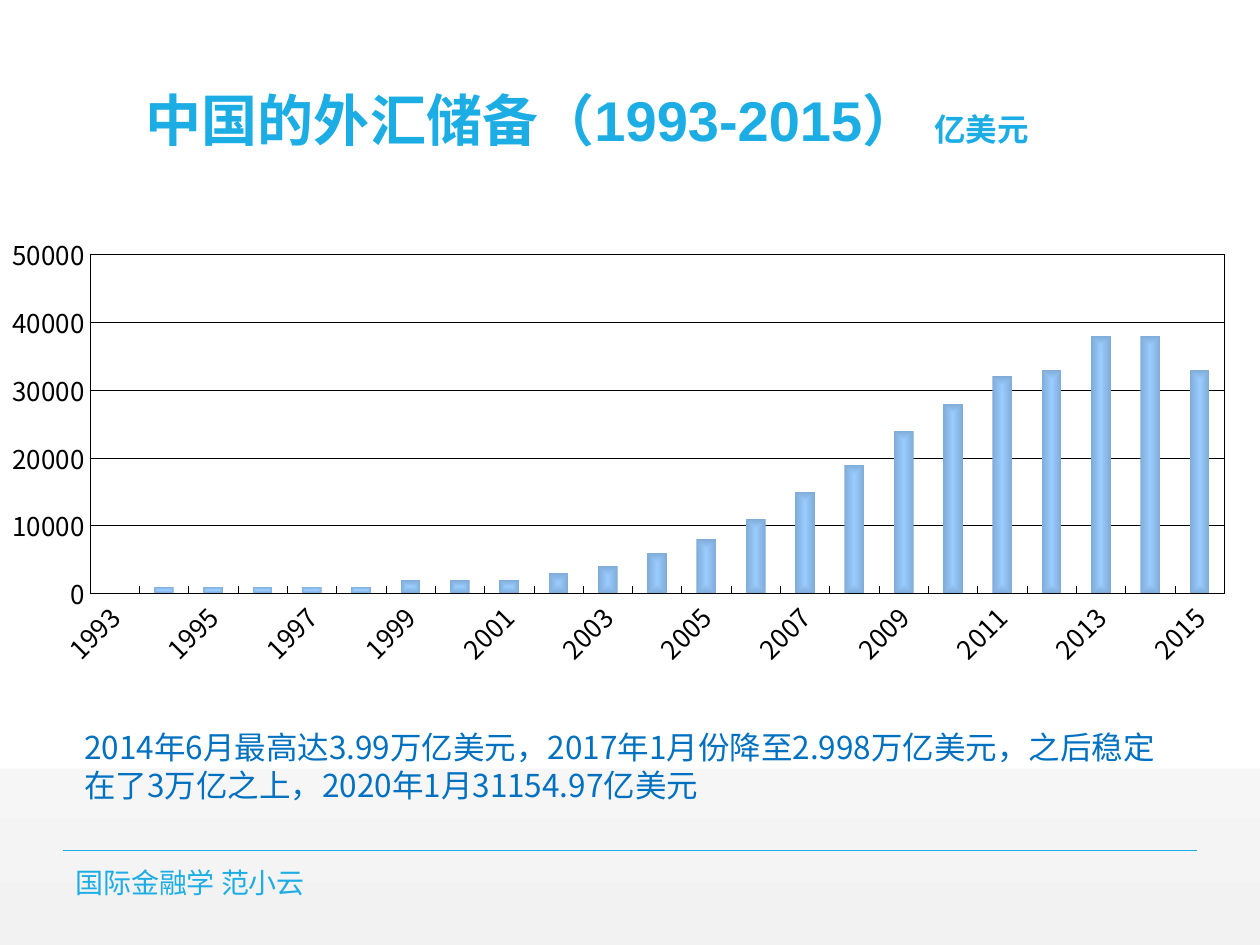
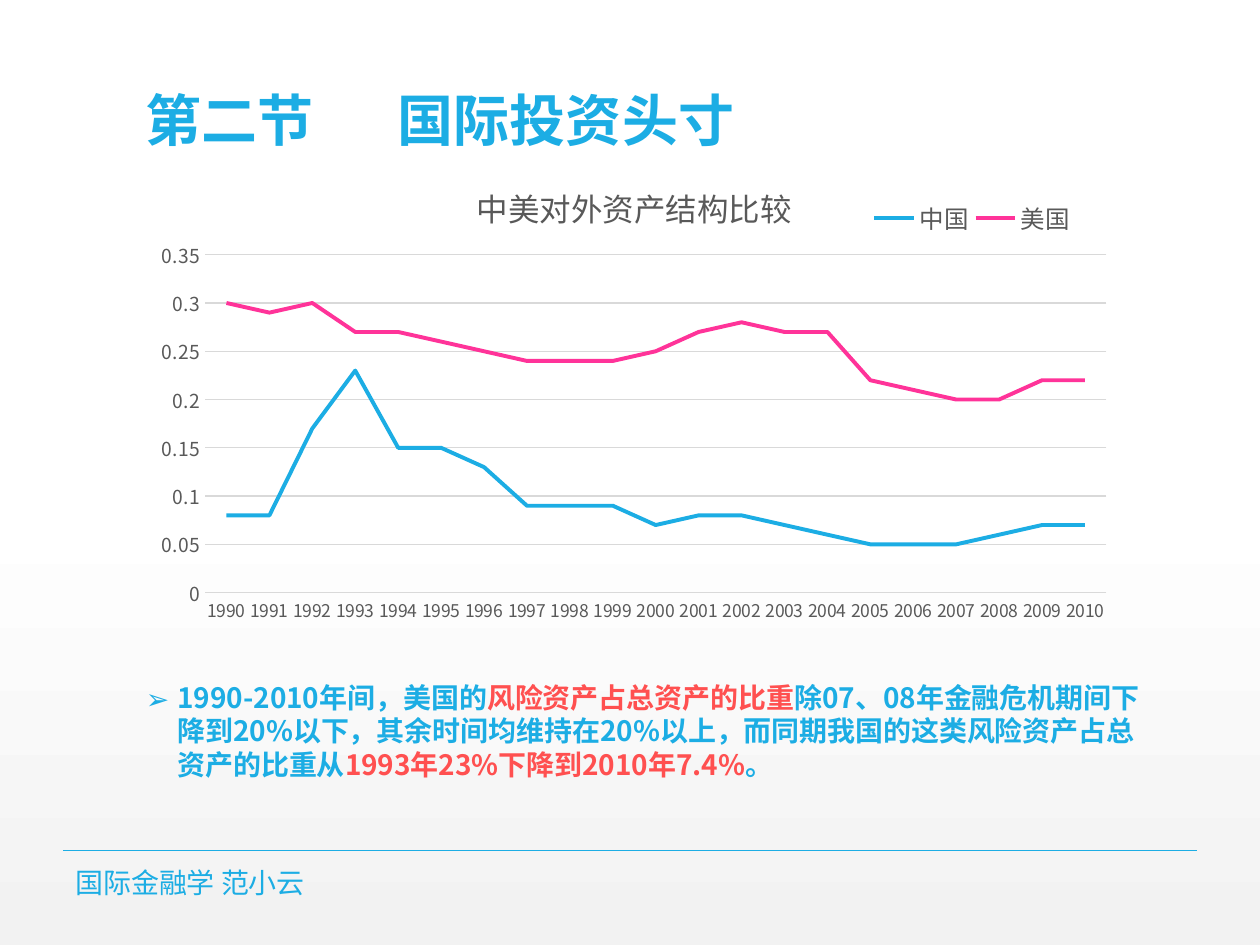
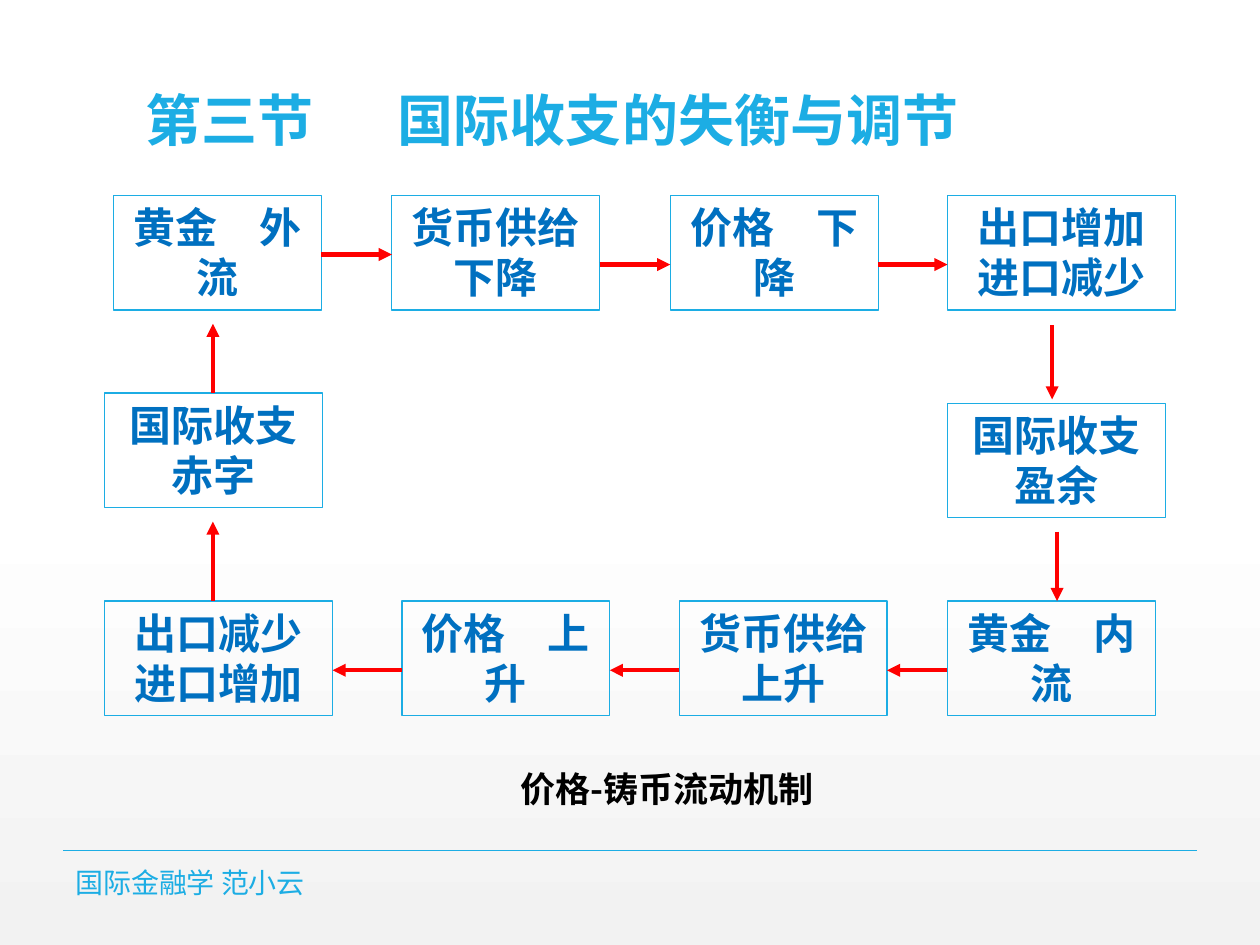
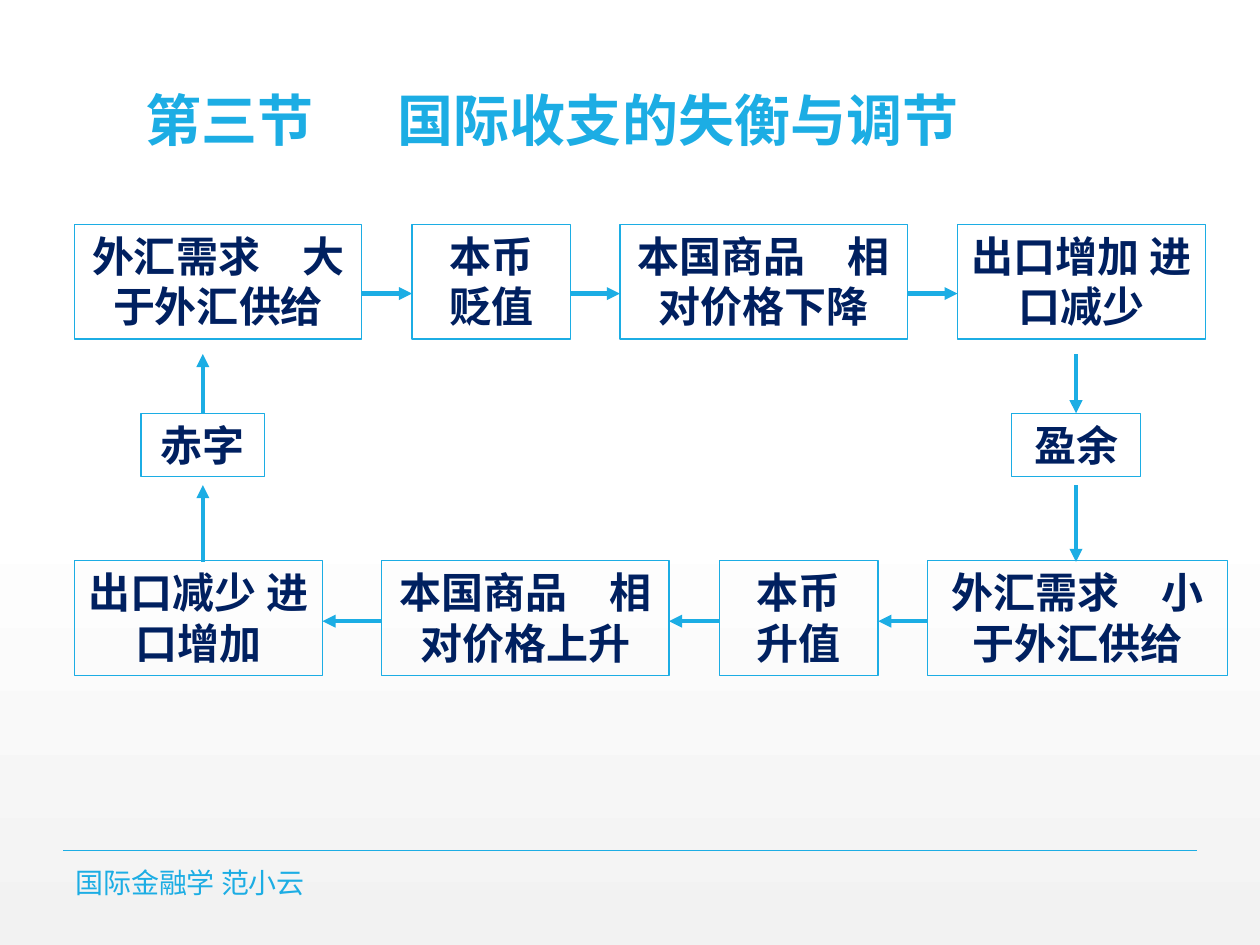
from dataclasses import dataclass

from pptx import Presentation
from pptx.chart.data import CategoryChartData
from pptx.dml.color import RGBColor
from pptx.enum.chart import XL_CHART_TYPE, XL_LEGEND_POSITION, XL_TICK_MARK
from pptx.enum.shapes import MSO_CONNECTOR, MSO_SHAPE
from pptx.enum.text import MSO_ANCHOR, PP_ALIGN
from pptx.oxml import parse_xml
from pptx.oxml.ns import nsdecls, qn
from pptx.util import Inches, Pt

COLUMN_CHART, LINE_CHART = XL_CHART_TYPE.COLUMN_CLUSTERED, XL_CHART_TYPE.LINE
LEGEND_BOTTOM = XL_LEGEND_POSITION.BOTTOM
TICK_INSIDE, TICK_NONE = XL_TICK_MARK.INSIDE, XL_TICK_MARK.NONE
STRAIGHT, RECTANGLE = MSO_CONNECTOR.STRAIGHT, MSO_SHAPE.RECTANGLE
TOP, MIDDLE, BOTTOM = MSO_ANCHOR.TOP, MSO_ANCHOR.MIDDLE, MSO_ANCHOR.BOTTOM
LEFT, CENTER = PP_ALIGN.LEFT, PP_ALIGN.CENTER

# Grid: 100 columns by 75 rows
SLIDE_WIDTH, SLIDE_HEIGHT = Inches(10), Inches(7.5)
COLUMN, ROW = SLIDE_WIDTH / 100, SLIDE_HEIGHT / 75


@dataclass(frozen=True)
class Theme:
    accent: str = "1CADE4"
    blue: str = "0070C0"
    navy: str = "002060"
    red: str = "FF0000"
    highlight: str = "FF5050"
    pink: str = "FF3399"
    black: str = "000000"
    white: str = "FFFFFF"
    backdrop: str = "F2F2F2"
    chart_text: str = "595959"
    chart_grid: str = "D9D9D9"
    bar_center: str = "99CCFF"
    bar_edge: str = "80ABD6"
    heading_font: str = "Arial"
    body_font: str = "Noto Sans CJK SC"
    title_size: float = 32
    box_size: float = 24
    caption_size: float = 20
    note_size: float = 18
    body_size: float = 16
    line_pitch: float = 1.2


THEME = Theme()


def color(value):
    return RGBColor.from_string(value)


def place(left, top, width, height):
    """Turn columns and rows into slide lengths."""
    return (round(left * COLUMN), round(top * ROW),
            round(width * COLUMN), round(height * ROW))


def gradient(stops, direction):
    items = "".join(f'<a:gs pos="{position * 1000}"><a:srgbClr val="{value}"/></a:gs>'
                    for position, value in stops)
    return parse_xml(f'<a:gradFill {nsdecls("a")} rotWithShape="1">'
                     f'<a:gsLst>{items}</a:gsLst>{direction}</a:gradFill>')


def set_line(line, value, width):
    line.color.rgb = color(value)
    line.width = Pt(width)


def set_font(font, size, value, name=THEME.body_font, bold=False):
    font.size, font.name, font.bold = Pt(size), name, bold
    font.color.rgb = color(value)


def add_east_asian_fonts(element):
    """Use each Latin typeface for Chinese text too."""
    for latin in list(element.iter(qn("a:latin"))):
        latin.addnext(parse_xml(f'<a:ea {nsdecls("a")} typeface="{latin.get("typeface")}"/>'))


# Text
def write(shape, runs, align=LEFT, anchor=TOP, pitch=None):
    """Fill a shape with one paragraph of (text, size, colour, font, bold) runs."""
    frame = shape.text_frame
    frame.word_wrap = True
    frame.vertical_anchor = anchor
    paragraph = frame.paragraphs[0]
    paragraph.alignment = align
    paragraph.line_spacing = pitch or Pt(THEME.line_pitch * runs[0][1])
    for text, size, value, name, bold in runs:
        run = paragraph.add_run()
        run.text = text
        set_font(run.font, size, value, name, bold)
    add_east_asian_fonts(shape._element)
    return paragraph


def body_run(text, size, value, bold=False):
    return text, size, value, THEME.body_font, bold


def add_text(slide, area, runs, **options):
    return write(slide.shapes.add_textbox(*place(*area)), runs, **options)


def add_tab_stop(paragraph, position):
    paragraph._p.get_or_add_pPr().append(parse_xml(
        f'<a:tabLst {nsdecls("a")}><a:tab pos="{position}" algn="l"/></a:tabLst>'))


def add_bullet(paragraph):
    paragraph.space_before = Pt(18)
    properties = paragraph._p.get_or_add_pPr()
    properties.set("marL", str(Inches(0.25)))
    properties.set("indent", str(-Inches(0.25)))
    for item in (f'<a:buClr {nsdecls("a")}><a:srgbClr val="{THEME.accent}"/></a:buClr>',
                 f'<a:buFont {nsdecls("a")} typeface="{THEME.body_font}"/>',
                 f'<a:buChar {nsdecls("a")} char="➢"/>'):
        properties.append(parse_xml(item))


# Lines and boxes
def add_line(slide, start, end, value, width, arrow=False):
    begin_x, begin_y, end_x, end_y = place(*start, *end)
    connector = slide.shapes.add_connector(STRAIGHT, begin_x, begin_y, end_x, end_y)
    set_line(connector.line, value, width)
    properties = connector._element.spPr
    if arrow:
        properties.find(qn("a:ln")).append(parse_xml(f'<a:tailEnd {nsdecls("a")} type="triangle"/>'))
    properties.append(parse_xml(f'<a:effectLst {nsdecls("a")}/>'))


def add_box(slide, text, area, text_color):
    box = slide.shapes.add_shape(RECTANGLE, *place(*area))
    box.shadow.inherit = False
    box.fill.background()
    set_line(box.line, THEME.accent, 0.75)
    write(box, [body_run(text, THEME.box_size, text_color, True)], align=CENTER)


def add_flow_row(slide, top, boxes, arrow_tops, text_color, arrow_color, leftward=False):
    """Draw (text, left, width) boxes and the arrows in the gaps between them."""
    for text, left, width in boxes:
        add_box(slide, text, (left, top, width, 9.1), text_color)
    for (_, left, width), (_, next_left, _), arrow_top in zip(boxes, boxes[1:], arrow_tops):
        ends = [(left + width, arrow_top), (next_left, arrow_top)]
        if leftward:
            ends.reverse()
        add_line(slide, *ends, arrow_color, 2.5, arrow=True)


def add_vertical_arrows(slide, arrows, value):
    for column, start, end in arrows:
        add_line(slide, (column, start), (column, end), value, 2.5, arrow=True)


# Charts
def set_layout(parent, index, x, y, width=None, height=None, inner=False):
    old = parent.find(qn("c:layout"))
    if old is not None:
        parent.remove(old)
    target = '<c:layoutTarget val="inner"/>' if inner else ""
    modes = '<c:xMode val="edge"/><c:yMode val="edge"/>'
    sizes = zip("xywh", (x, y, width, height))
    values = "".join(f'<c:{key} val="{size}"/>' for key, size in sizes if size is not None)
    parent.insert(index, parse_xml(
        f'<c:layout {nsdecls("c")}><c:manualLayout>{target}{modes}{values}'
        '</c:manualLayout></c:layout>'))


def chart_area_format(line_xml):
    return parse_xml(f'<c:spPr {nsdecls("c", "a")}><a:solidFill><a:srgbClr val="{THEME.white}"/>'
                     f'</a:solidFill>{line_xml}</c:spPr>')


def add_chart(slide, kind, area, categories, series, plot_layout):
    data = CategoryChartData()
    data.categories = categories
    for name, values in series:
        data.add_series(name, values)
    chart = slide.shapes.add_chart(kind, *place(*area), data).chart
    chart.has_title = chart.has_legend = False
    chart.plots[0].vary_by_categories = False
    set_layout(chart.element.chart.plotArea, 0, *plot_layout, inner=True)
    return chart


def style_axis(axis, size, value, tick, line=None):
    set_font(axis.tick_labels.font, size, value)
    axis.major_tick_mark, axis.minor_tick_mark = tick, TICK_NONE
    if line:
        set_line(axis.format.line, *line)
    else:
        axis.format.line.fill.background()


def scale_axis(axis, maximum, step, grid):
    axis.minimum_scale, axis.maximum_scale, axis.major_unit = 0, maximum, step
    axis.has_major_gridlines = True
    set_line(axis.major_gridlines.format.line, *grid)


def add_reserves_chart(slide):
    reserves = [n * 1000 for n in (0, 1, 1, 1, 1, 1, 2, 2, 2, 3, 4, 6, 8, 11, 15, 19,
                                   24, 28, 32, 33, 38, 38, 33)]
    chart = add_chart(slide, COLUMN_CHART, (-4.7, 14.1, 104.7, 46.9),
                      [str(year) for year in range(1993, 2016)],
                      [("Series 1", reserves)], (0.113, 0.13, 0.86, 0.574))
    thin = (THEME.black, 0.25)
    set_font(chart.font, 14.8, THEME.black)
    for axis in (chart.category_axis, chart.value_axis):
        style_axis(axis, 14.8, THEME.black, TICK_INSIDE, thin)
    scale_axis(chart.value_axis, 50000, 10000, thin)

    # Slanted labels for every second year
    years = chart.category_axis._element
    years.find(qn("c:txPr")).find(qn("a:bodyPr")).set("rot", "-2700000")
    years.find(qn("c:noMultiLvlLbl")).addprevious(
        parse_xml(f'<c:tickLblSkip {nsdecls("c")} val="2"/>'))

    # Bars, plot frame and chart background
    plot = chart.plots[0]
    plot.gap_width = 150
    plot.series[0].invert_if_negative = False
    plot.series[0]._element.get_or_add_spPr().append(gradient(
        [(0, THEME.bar_center), (100, THEME.bar_edge)],
        '<a:path path="rect"><a:fillToRect l="50000" t="50000" r="50000" b="50000"/></a:path>'))
    chart.element.chart.plotArea.append(chart_area_format(
        f'<a:ln w="{Pt(0.25)}"><a:solidFill><a:srgbClr val="{THEME.black}"/></a:solidFill></a:ln>'))
    chart.element.chart.addnext(chart_area_format("<a:ln><a:noFill/></a:ln>"))
    add_east_asian_fonts(chart.element)


def add_assets_chart(slide):
    china = (0.08, 0.08, 0.17, 0.23, 0.15, 0.15, 0.13, 0.09, 0.09, 0.09, 0.07,
             0.08, 0.08, 0.07, 0.06, 0.05, 0.05, 0.05, 0.06, 0.07, 0.07)
    america = (0.3, 0.29, 0.3, 0.27, 0.27, 0.26, 0.25, 0.24, 0.24, 0.24, 0.25,
               0.27, 0.28, 0.27, 0.27, 0.22, 0.21, 0.2, 0.2, 0.22, 0.22)
    chart = add_chart(slide, LINE_CHART, (10.6, 12.7, 78.8, 39.8),
                      [str(year) for year in range(1990, 2011)],
                      [("中国", china), ("美国", america)], (0.072, 0.189, 0.908, 0.674))
    grid = (THEME.chart_grid, 0.75)
    set_font(chart.font, 10, THEME.black, THEME.heading_font)
    style_axis(chart.category_axis, 10, THEME.chart_text, TICK_NONE, grid)
    style_axis(chart.value_axis, 11, THEME.chart_text, TICK_NONE)
    scale_axis(chart.value_axis, 0.35, 0.05, grid)
    for series, value in zip(chart.plots[0].series, (THEME.accent, THEME.pink)):
        series.smooth = False
        set_line(series.format.line, value, 2.25)

    # Title and legend
    chart.has_title = chart.has_legend = True
    run = chart.chart_title.text_frame.paragraphs[0].add_run()
    run.text = "中美对外资产结构比较"
    set_font(run.font, THEME.note_size, THEME.chart_text)
    set_layout(chart.chart_title._element, 1, 0.34, 0.03)
    legend = chart.legend
    legend.position, legend.include_in_layout = LEGEND_BOTTOM, False
    set_font(legend.font, 14, THEME.chart_text)
    set_layout(legend._element, 1, 0.74, 0.08, 0.21, 0.07)
    add_east_asian_fonts(chart.element)


# Shared slide frame
def add_slide(presentation, title, unit=None):
    slide = presentation.slides.add_slide(presentation.slide_layouts[6])
    slide.background.fill.gradient()
    default = next(slide._element.iter(qn("a:gradFill")))
    default.getparent().replace(default, gradient(
        [(0, THEME.white), (53, THEME.white), (100, THEME.backdrop)],
        '<a:lin ang="5400000" scaled="0"/>'))
    add_line(slide, (5, 67.5), (95, 67.5), THEME.accent, 1)
    runs = [(title, THEME.title_size, THEME.accent, THEME.heading_font, True)]
    if unit:
        runs.append((unit, THEME.note_size, THEME.accent, THEME.heading_font, True))
    heading = add_text(slide, (10.6, 0.2, 78.8, 12.5), runs, anchor=BOTTOM, pitch=0.9)
    add_tab_stop(heading, Inches(2))
    add_text(slide, (5, 68.8, 50.3, 2.4),
             [body_run("国际金融学 范小云", THEME.body_size, THEME.accent)], anchor=MIDDLE)
    return slide


# Slides
def build_reserves(presentation):
    slide = add_slide(presentation, "中国的外汇储备（1993-2015） ", "亿美元")
    add_reserves_chart(slide)
    note = ("2014年6月最高达3.99万亿美元，2017年1月份降至2.998万亿美元，"
            "之后稳定在了3万亿之上，2020年1月31154.97亿美元")
    add_text(slide, (5.7, 57.3, 89.4, 7.1), [body_run(note, THEME.note_size, THEME.blue)])


def build_investment_position(presentation):
    slide = add_slide(presentation, "第二节\t国际投资头寸")
    parts = [
        ("1990-2010年间，美国的", THEME.accent),
        ("风险资产占总资产的比重", THEME.highlight),
        ("除07、08年金融危机期间下降到20%以下，其余时间均维持在20%以上，"
         "而同期我国的这类风险资产占总资产的比重从", THEME.accent),
        ("1993年23%下降到2010年7.4%", THEME.highlight),
        ("。", THEME.accent),
    ]
    runs = [body_run(text, THEME.body_size, value, True) for text, value in parts]
    add_bullet(add_text(slide, (10.6, 53.5, 81.5, 12), runs))
    add_assets_chart(slide)


def build_specie_flow(presentation):
    slide = add_slide(presentation, "第三节\t国际收支的失衡与调节")
    colors = (THEME.blue, THEME.red)
    add_flow_row(slide, 15.5, [("黄金　外流", 9, 16.5), ("货币供给下降", 31.1, 16.5),
                               ("价格　下降", 53.2, 16.5), ("出口增加进口减少", 75.2, 18.1)],
                 (20.2, 21, 21), *colors)
    add_flow_row(slide, 47.7, [("出口减少进口增加", 8.3, 18.1), ("价格　上升", 31.9, 16.5),
                               ("货币供给上升", 53.9, 16.5), ("黄金　内流", 75.2, 16.5)],
                 (53.2,) * 3, *colors, leftward=True)
    add_box(slide, "国际收支赤字", (8.3, 31.2, 17.3, 9.1), THEME.blue)
    add_box(slide, "国际收支盈余", (75.2, 32, 17.3, 9.1), THEME.blue)
    add_vertical_arrows(slide, [(16.9, 31.2, 25.7), (16.9, 47.7, 41.4),
                                (83.5, 25.8, 31.7), (83.9, 42.2, 47.7)], THEME.red)
    add_text(slide, (25.5, 60.4, 54.9, 4.4),
             [body_run("价格-铸币流动机制", THEME.caption_size, THEME.black, True)], align=CENTER)


def build_exchange_rate_flow(presentation):
    slide = add_slide(presentation, "第三节\t国际收支的失衡与调节")
    colors = (THEME.navy, THEME.accent)
    add_flow_row(slide, 17.8, [("外汇需求　大于外汇供给", 5.9, 22.8), ("本币 贬值", 32.7, 12.6),
                               ("本国商品　相对价格下降", 49.2, 22.8),
                               ("出口增加 进口减少", 76, 19.7)],
                 (23.3,) * 3, *colors)
    add_flow_row(slide, 44.5, [("出口减少 进口增加", 5.9, 19.7),
                               ("本国商品　相对价格上升", 30.3, 22.8), ("本币 升值", 57.1, 12.6),
                               ("外汇需求　小于外汇供给", 73.6, 23.8)],
                 (49.3,) * 3, *colors, leftward=True)
    add_box(slide, "赤字", (11.2, 32.8, 9.8, 5), THEME.navy)
    add_box(slide, "盈余", (80.3, 32.8, 10.2, 5), THEME.navy)
    add_vertical_arrows(slide, [(16.1, 32.8, 28.1), (16.1, 44.6, 38.5),
                                (85.4, 28.1, 32.8), (85.4, 38.5, 44.6)], THEME.accent)


def main():
    presentation = Presentation()
    presentation.slide_width, presentation.slide_height = SLIDE_WIDTH, SLIDE_HEIGHT
    build_reserves(presentation)
    build_investment_position(presentation)
    build_specie_flow(presentation)
    build_exchange_rate_flow(presentation)
    presentation.save("out.pptx")


if __name__ == "__main__":
    main()
